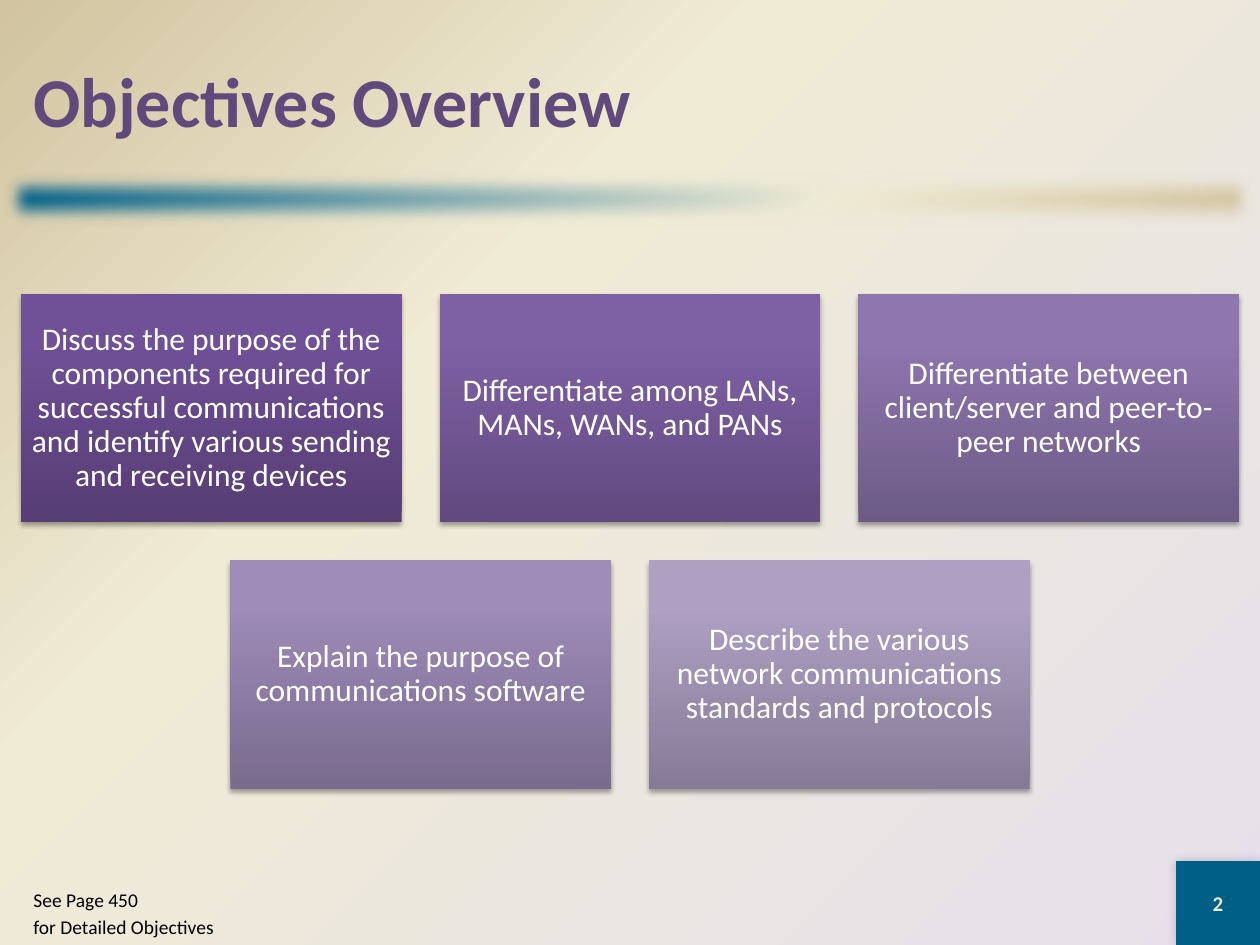
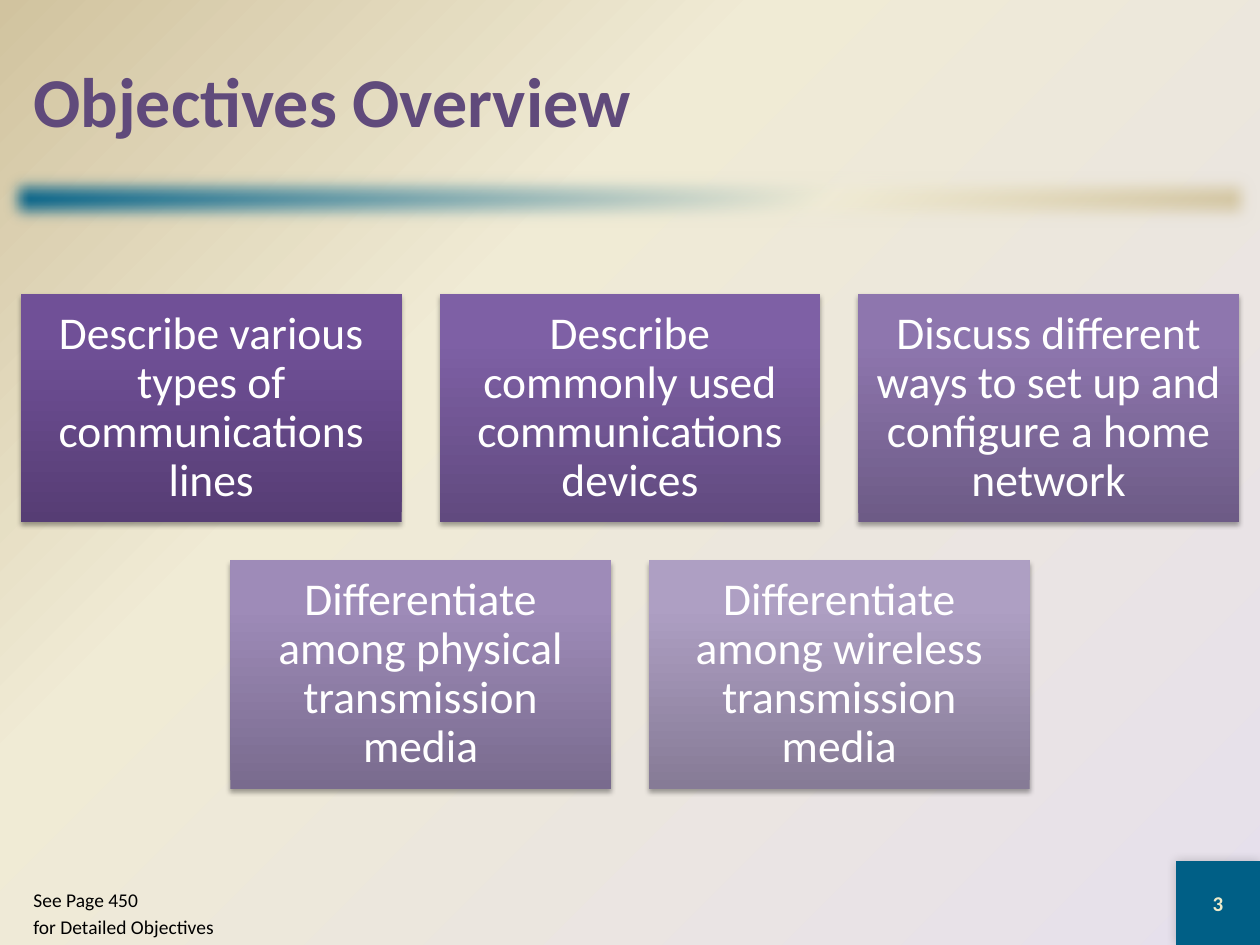
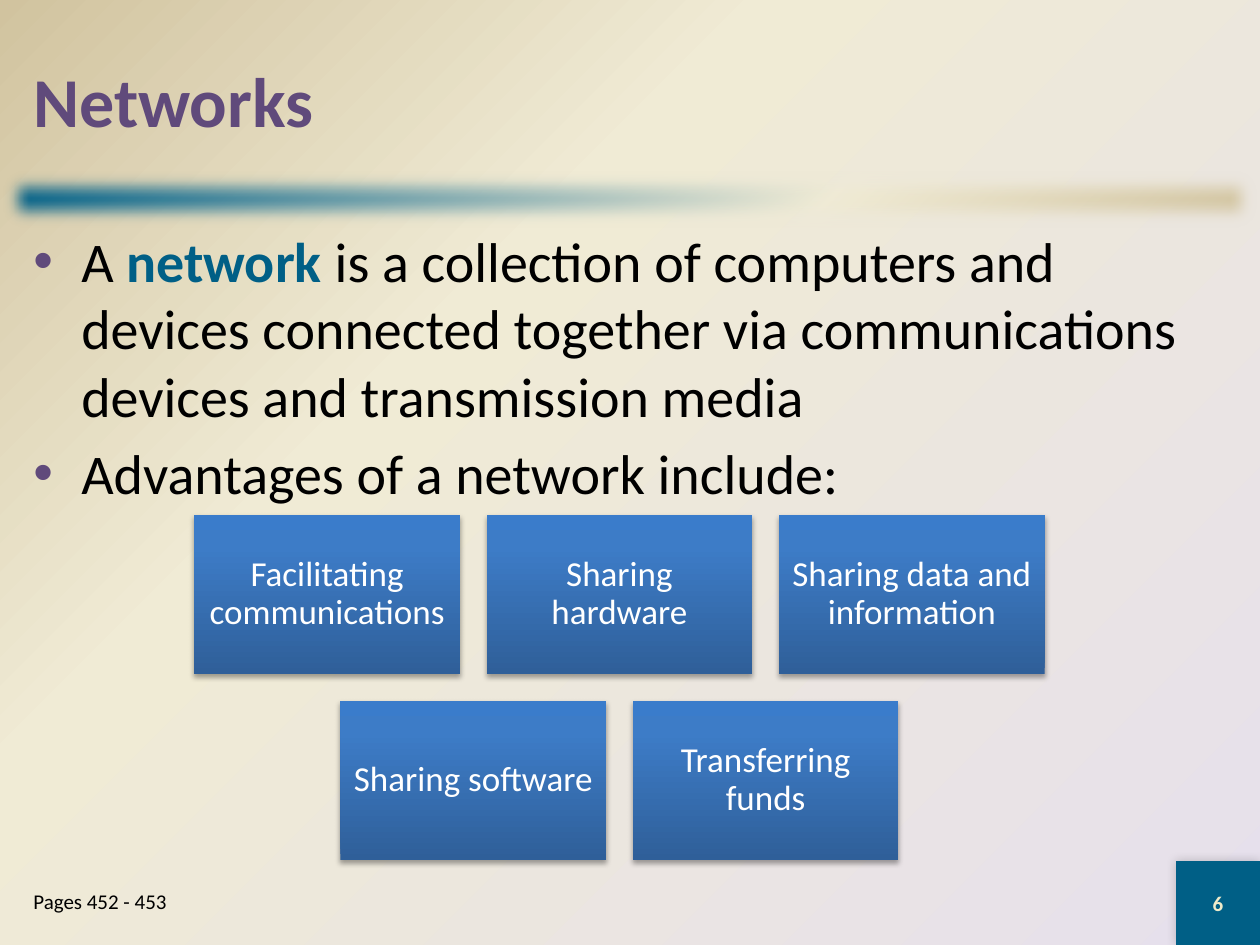
from pptx import Presentation
from pptx.dml.color import RGBColor as RGB
from pptx.enum.shapes import MSO_SHAPE as Shape
from pptx.enum.text import MSO_ANCHOR as Anchor, PP_ALIGN as Align
from pptx.oxml import parse_xml
from pptx.oxml.ns import nsdecls, qn
from pptx.util import Inches, Pt

WIDE, HIGH = Inches(10), Inches(7.5)
UNIT = WIDE / 60
FACE = "Calibri"

TEAL = RGB(0x00, 0x5F, 0x86)
CREAM = RGB(0xF0, 0xEB, 0xD5)
SAND = RGB(0xD1, 0xC3, 0x9F)
MIST = RGB(0xE6, 0xE0, 0xEC)
PLUM = RGB(0x60, 0x4A, 0x7B)
PALE = RGB(0xEE, 0xEB, 0xCA)
WHITE = RGB(0xFF, 0xFF, 0xFF)
BLACK = RGB(0x00, 0x00, 0x00)

PURPLES = [
    (RGB(0x56, 0x3D, 0x74), RGB(0x70, 0x50, 0x97), RGB(0x70, 0x4F, 0x99)),
    (RGB(0x61, 0x4A, 0x7F), RGB(0x7E, 0x60, 0xA5), RGB(0x7F, 0x60, 0xA7)),
    (RGB(0x6D, 0x5B, 0x86), RGB(0x8E, 0x76, 0xAE), RGB(0x8E, 0x75, 0xB0)),
    (RGB(0x79, 0x6B, 0x8E), RGB(0x9E, 0x8B, 0xB8), RGB(0x9E, 0x8B, 0xBA)),
    (RGB(0x86, 0x7B, 0x96), RGB(0xAE, 0x9F, 0xC3), RGB(0xAE, 0x9F, 0xC4)),
]
BLUES = [(RGB(0x2F, 0x5F, 0x99), RGB(0x3D, 0x7C, 0xC7), RGB(0x3A, 0x7C, 0xCB))] * 5

CORNER = ('<a:path path="circle"><a:fillToRect l="100000" t="100000"/></a:path>'
          '<a:tileRect r="-100000" b="-100000"/>')

GOALS = [
    "Discuss the purpose of the components required for successful "
    "communications and identify various sending and receiving devices",
    "Differentiate among LANs, MANs, WANs, and PANs",
    "Differentiate between client/server and peer-to-peer networks",
    "Explain the purpose of communications software",
    "Describe the various network communications standards and protocols",
]
MORE = [
    "Describe various types of communications lines",
    "Describe commonly used communications devices",
    "Discuss different ways to set up and configure a home network",
    "Differentiate among physical transmission media",
    "Differentiate among wireless transmission media",
]
GAINS = [
    "Facilitating communications",
    "Sharing hardware",
    "Sharing data and information",
    "Sharing software",
    "Transferring funds",
]
POINTS = [
    [("A ", False), ("network ", True),
     ("is a collection of computers and devices connected together via "
      "communications devices and transmission media", False)],
    [("Advantages of a network include:", False)],
]
DETAIL = "See Page 450\nfor Detailed Objectives"


def area(*units):
    """Turn grid units into slide lengths."""
    return [round(unit * UNIT) for unit in units]


def linear(angle):
    """Give the direction of a linear gradient."""
    return f'<a:lin ang="{angle * 60000}" scaled="0"/>'


def blend(node, colors, middle, course):
    """Swap the empty fill of a node for a three-colour gradient."""
    stops = "".join(
        f'<a:gs pos="{pos * 1000}"><a:srgbClr val="{color}"/></a:gs>'
        for pos, color in zip((0, middle, 100), colors))
    grad = parse_xml(f'<a:gradFill {nsdecls("a")} rotWithShape="1">'
                     f'<a:gsLst>{stops}</a:gsLst>{course}</a:gradFill>')
    node.replace(node.find(qn("a:noFill")), grad)


def effect(shape, inner):
    """Give a shape one effect."""
    holder = shape._element.spPr.find(qn("a:effectLst"))
    holder.append(parse_xml(inner.replace(" ", f' {nsdecls("a")} ', 1)))


def shade(shape, alpha, blur, dist, angle):
    """Cast a black shadow."""
    effect(shape, f'<a:outerShdw blurRad="{Pt(blur)}" dist="{Pt(dist)}" '
                  f'dir="{angle * 60000}" algn="ctr" rotWithShape="0">'
                  f'<a:srgbClr val="000000"><a:alpha val="{alpha * 1000}"/>'
                  '</a:srgbClr></a:outerShdw>')


def block(slide, place):
    """Add a bare rectangle."""
    shape = slide.shapes.add_shape(Shape.RECTANGLE, *place)
    shape.fill.background()
    shape.line.fill.background()
    shape.shadow.inherit = False
    return shape


def style(run, size, color, bold=False):
    """Set the font of a run."""
    font = run.font
    font.name, font.size, font.bold = FACE, Pt(size), bold
    font.color.rgb = color


def write(shape, text, size, color, bold=False, align=Align.LEFT,
          anchor=Anchor.MIDDLE):
    """Fill a shape with text in one style."""
    frame = shape.text_frame
    frame.word_wrap = True
    frame.vertical_anchor = anchor
    frame.text = text
    for part in frame.paragraphs:
        part.alignment = align
        for run in part.runs:
            style(run, size, color, bold)
    return frame


def paint(master):
    """Paint the shared background."""
    master.background.fill.background()
    node = master._element.xpath(".//p:bgPr")[0]
    blend(node, (MIST, CREAM, SAND), 65, CORNER)


def frame_up(deck, title, number, note, size):
    """Add a slide with its band, title, page box and footer."""
    slide = deck.slides.add_slide(deck.slide_layouts[6])
    band = block(slide, area(0, 8, 60, 3))
    blend(band._element.spPr, (TEAL, CREAM, SAND), 65, linear(45))
    effect(band, f'<a:softEdge rad="{Pt(10)}"/>')
    page = block(slide, area(56, 41, 4, 4))
    page.fill.solid()
    page.fill.fore_color.rgb = TEAL
    shade(page, 20, 6, 0, 225)
    write(page, str(number), 12, PALE, True, Align.CENTER)
    head = slide.shapes.add_textbox(*area(1, 1, 58, 7.5))
    write(head, title, 40, PLUM, True)
    foot = slide.shapes.add_textbox(*area(1, 42, 11, 3))
    lines = write(foot, note, size, BLACK, anchor=Anchor.TOP).paragraphs
    for line in lines[1:]:
        line.space_before = Pt(size / 5)
    return slide


def cards(slide, texts, tones, left, top, span, size, inset):
    """Lay out three cards over two centred ones."""
    wide = span / 3.2
    gap, high = wide / 10, wide * 0.6
    for spot, (text, tone) in enumerate(zip(texts, tones)):
        row, col = divmod(spot, 3)
        place = area(left + (col + row / 2) * (wide + gap),
                     top + row * (high + gap), wide, high)
        card = block(slide, place)
        blend(card._element.spPr, tone, 80, linear(270))
        shade(card, 35, 3.1, 1.8, 90)
        frame = write(card, text, size, WHITE, align=Align.CENTER)
        frame.margin_left = frame.margin_right = Inches(inset)
        frame.margin_top = frame.margin_bottom = Inches(inset)
        frame.paragraphs[0].line_spacing = 0.9


def bullet(part):
    """Give a paragraph a hanging plum bullet."""
    props = part._p.get_or_add_pPr()
    props.set("marL", str(Inches(0.38)))
    props.set("indent", str(-Inches(0.38)))
    for mark in (f'<a:buClr {nsdecls("a")}><a:srgbClr val="{PLUM}"/></a:buClr>',
                 f'<a:buFont {nsdecls("a")} typeface="Arial"/>',
                 f'<a:buChar {nsdecls("a")} char="•"/>'):
        props.append(parse_xml(mark))


def points(slide, items):
    """Write the bulleted body with its key terms."""
    frame = slide.shapes.add_textbox(*area(1, 10.5, 58, 30.5)).text_frame
    frame.word_wrap = True
    for rank, item in enumerate(items):
        part = frame.add_paragraph() if rank else frame.paragraphs[0]
        bullet(part)
        if rank:
            part.space_before = Pt(6)
        for text, key in item:
            run = part.add_run()
            run.text = text
            style(run, 32, TEAL if key else BLACK, key)


def main():
    """Build the deck."""
    deck = Presentation()
    deck.slide_width, deck.slide_height = WIDE, HIGH
    paint(deck.slide_master)
    for number, texts, size, inset in ((2, GOALS, 18, 0.07), (3, MORE, 26, 0.11)):
        slide = frame_up(deck, "Objectives Overview", number, DETAIL, 11.1)
        cards(slide, texts, PURPLES, 1, 14, 58, size, inset)
    slide = frame_up(deck, "Networks", 6, "Pages 452 - 453", 12)
    points(slide, POINTS)
    cards(slide, GAINS, BLUES, 9.25, 24.5, 40.5, 20, 0.08)
    deck.save("out.pptx")


if __name__ == "__main__":
    main()
